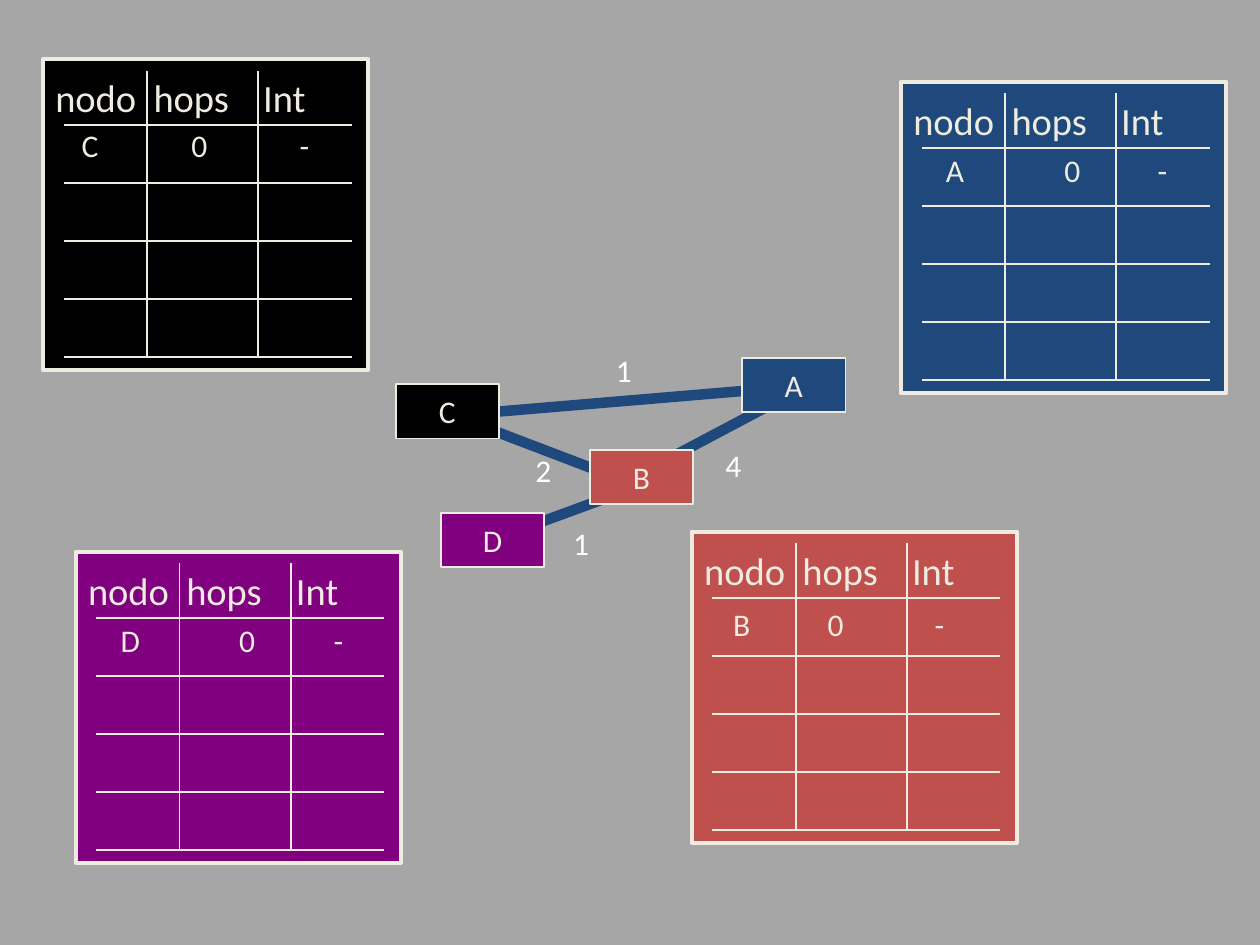
from itertools import accumulate
from lxml.etree import SubElement
from pptx import Presentation
from pptx.dml.color import RGBColor
from pptx.enum.shapes import MSO_CONNECTOR, MSO_SHAPE
from pptx.enum.text import MSO_ANCHOR, PP_ALIGN
from pptx.oxml.ns import qn
from pptx.util import Inches, Pt

COLORS = {
    "back": "A6A6A6", "line": "EEECE1", "link": "1F497D", "cost": "FFFFFF",
    "A": "1F497D", "B": "C0504D", "C": "000000", "D": "800080",
}
FONT = "Calibri"

PANEL = (2.58, 2.47)
INSET = (0.165, 0.09)
COLS = (0.66, 0.885, 0.74)
ROWS = (0.435, 0.46, 0.46, 0.46, 0.46)
NODE = (0.82, 0.43)
COST = (0.33, 0.4)

# node: panel corner, offset and width of its entry, tab stops of the entry
PANELS = {
    "A": ((7.15, 0.65), (0.26, 0.5), 2, (0.94, 1.68)),
    "B": ((5.49, 4.22), (0.23, 0.53), 2.02, (0.75, 1.6)),
    "C": ((0.34, 0.47), (0.21, 0.48), 2.05, (0.87, 1.73)),
    "D": ((0.6, 4.38), (0.26, 0.5), 2.01, (0.94, 1.69)),
}
NODES = {"C": (3.14, 3.05), "A": (5.89, 2.84), "D": (3.5, 4.07), "B": (4.68, 3.57)}
# ends of the link, cost, corner of the cost label
LINKS = (
    ((4.97, 3.82, 3.58, 3.29), "2", (4.15, 3.53)),
    ((6.31, 3.11, 5.12, 3.74), "4", (5.66, 3.49)),
    ((3.68, 3.29, 6.17, 3.08), "1", (4.79, 2.74)),
    ((5.12, 3.84, 3.92, 4.28), "1", (4.45, 4.11)),
)


def rgb(name):
    return RGBColor.from_string(COLORS[name])


def write(frame, text, size, color="line", align=PP_ALIGN.LEFT, tabs=()):
    frame.text = text
    para = frame.paragraphs[0]
    para.alignment = align
    if tabs:
        stops = SubElement(para._p.get_or_add_pPr(), qn("a:tabLst"))
        for at in tabs:
            SubElement(stops, qn("a:tab"), pos=str(Inches(at)), algn="l")
    for run in para.runs:
        run.font.size = Pt(size)
        run.font.name = FONT
        run.font.color.rgb = rgb(color)


def add_rect(slide, box, fill, width):
    rect = slide.shapes.add_shape(MSO_SHAPE.RECTANGLE, *map(Inches, box))
    rect.shadow.inherit = False
    rect.fill.solid()
    rect.fill.fore_color.rgb = rgb(fill)
    rect.line.color.rgb = rgb("line")
    rect.line.width = Pt(width)
    return rect


def add_line(slide, ends, color, width):
    line = slide.shapes.add_connector(MSO_CONNECTOR.STRAIGHT, *map(Inches, ends))
    line.line.color.rgb = rgb(color)
    line.line.width = Pt(width)
    SubElement(line._element.spPr, qn("a:effectLst"))


def add_text(slide, box, text, color="line", tabs=()):
    frame = slide.shapes.add_textbox(*map(Inches, box)).text_frame
    frame.word_wrap = bool(tabs)
    write(frame, text, 18, color, tabs=tabs)


def add_grid(slide, left, top):
    """Rule the inner columns and the foot of each row."""
    right, foot = left + sum(COLS), top + sum(ROWS)
    for step in accumulate(COLS[:-1]):
        add_line(slide, (left + step, top, left + step, foot), "line", 1)
    for step in accumulate(ROWS):
        add_line(slide, (left, top + step, right, top + step), "line", 1)


def add_panel(slide, name, box, shift, wide, tabs):
    """Draw the routing table of one node."""
    left, top = box[:2]
    frame = add_rect(slide, box, name, 2.25).text_frame
    frame.word_wrap = True
    frame.vertical_anchor = MSO_ANCHOR.TOP
    frame.margin_top = Inches(0.12)
    write(frame, "nodo\thops\tInt", 22, tabs=(0.78, 1.65))
    add_grid(slide, left + INSET[0], top + INSET[1])
    entry = (left + shift[0], top + shift[1], wide, 0.4)
    add_text(slide, entry, f"{name}\t0\t-", tabs=tabs)


def add_node(slide, name, box):
    frame = add_rect(slide, box, name, 1).text_frame
    frame.word_wrap = False
    frame.vertical_anchor = MSO_ANCHOR.MIDDLE
    write(frame, name, 18, align=PP_ALIGN.CENTER)


def add_net(slide):
    """Draw links first, so that the nodes cover their ends."""
    for ends, _, _ in LINKS:
        add_line(slide, ends, "link", 6)
    for name, spot in NODES.items():
        add_node(slide, name, (*spot, *NODE))
    for _, cost, spot in LINKS:
        add_text(slide, (*spot, *COST), cost, "cost")


def main():
    deck = Presentation()
    deck.slide_width, deck.slide_height = Inches(10), Inches(7.5)
    slide = deck.slides.add_slide(deck.slide_layouts[6])
    slide.background.fill.solid()
    slide.background.fill.fore_color.rgb = rgb("back")
    for name, (spot, shift, wide, tabs) in PANELS.items():
        add_panel(slide, name, (*spot, *PANEL), shift, wide, tabs)
    add_net(slide)
    deck.save("out.pptx")


if __name__ == "__main__":
    main()
